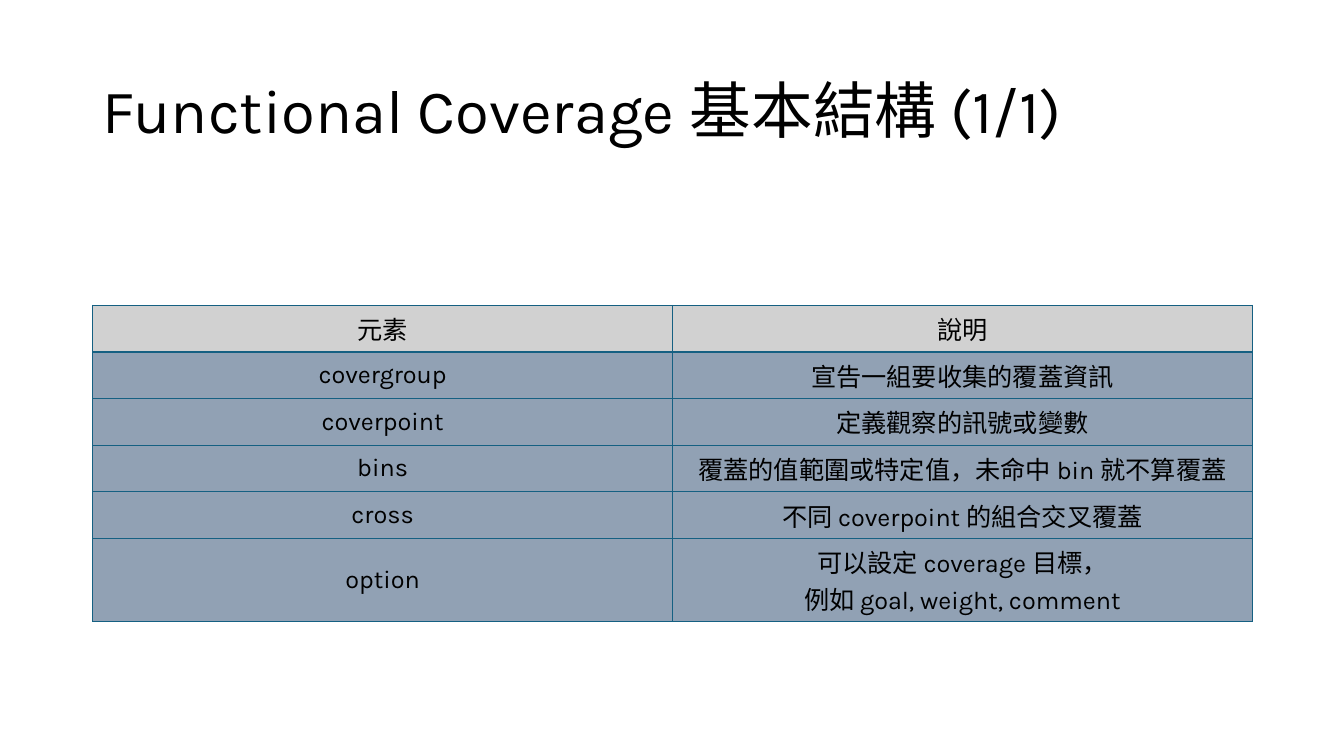
from dataclasses import dataclass

from lxml import etree
from pptx import Presentation
from pptx.dml.color import RGBColor
from pptx.enum.text import MSO_ANCHOR, MSO_AUTO_SIZE, PP_ALIGN
from pptx.oxml.ns import qn
from pptx.util import Inches, Pt

LEFT, CENTER = PP_ALIGN.LEFT, PP_ALIGN.CENTER
MIDDLE = MSO_ANCHOR.MIDDLE


@dataclass
class Theme:
    face: str = "Karla"
    ink: str = "000000"
    head: str = "D1D1D1"
    body: str = "91A1B4"
    line: str = "156082"
    title: int = 44
    text: int = 18


theme = Theme()


def style(par, size, align):
    par.alignment = align
    par.font.name = theme.face
    par.font.size = Pt(size)
    par.font.color.rgb = RGBColor.from_string(theme.ink)


def border(cell):
    props = cell._tc.get_or_add_tcPr()
    for spot, side in enumerate(("lnL", "lnR", "lnT", "lnB")):
        line = etree.Element(qn("a:" + side), w=str(Pt(1)))
        fill = etree.SubElement(line, qn("a:solidFill"))
        etree.SubElement(fill, qn("a:srgbClr"), val=theme.line)
        props.insert(spot, line)


deck = Presentation()
deck.slide_width, deck.slide_height = Inches(13.33), Inches(7.5)
slide = deck.slides.add_slide(deck.slide_layouts[5])
left, width = Inches(0.92), Inches(11.5)

# Title
title = slide.shapes.title
title.left, title.top = left, Inches(0.4)
title.width, title.height = width, Inches(1.45)
frame = title.text_frame
frame.text = "Functional Coverage 基本結構 (1/1)"
frame.auto_size = MSO_AUTO_SIZE.NONE
frame.vertical_anchor = MIDDLE
frame.paragraphs[0].line_spacing = 0.9
style(frame.paragraphs[0], theme.title, LEFT)

# Table of coverage elements
rows = [
    ("元素", "說明"),
    ("covergroup", "宣告一組要收集的覆蓋資訊"),
    ("coverpoint", "定義觀察的訊號或變數"),
    ("bins", "覆蓋的值範圍或特定值，未命中 bin 就不算覆蓋"),
    ("cross", "不同 coverpoint 的組合交叉覆蓋"),
    ("option", "可以設定 coverage 目標，\n例如 goal, weight, comment"),
]
high = [0.46] * 5 + [0.82]
table = slide.shapes.add_table(
    len(rows), 2, left, Inches(3.03), width, Inches(sum(high))).table

for r, words in enumerate(rows):
    table.rows[r].height = Inches(high[r])
    for c, text in enumerate(words):
        cell = table.cell(r, c)
        cell.text = text
        cell.vertical_anchor = MIDDLE
        cell.fill.solid()
        shade = theme.body if r else theme.head
        cell.fill.fore_color.rgb = RGBColor.from_string(shade)
        border(cell)
        for par in cell.text_frame.paragraphs:
            style(par, theme.text, CENTER)
            par.font.bold = False

deck.save("out.pptx")
